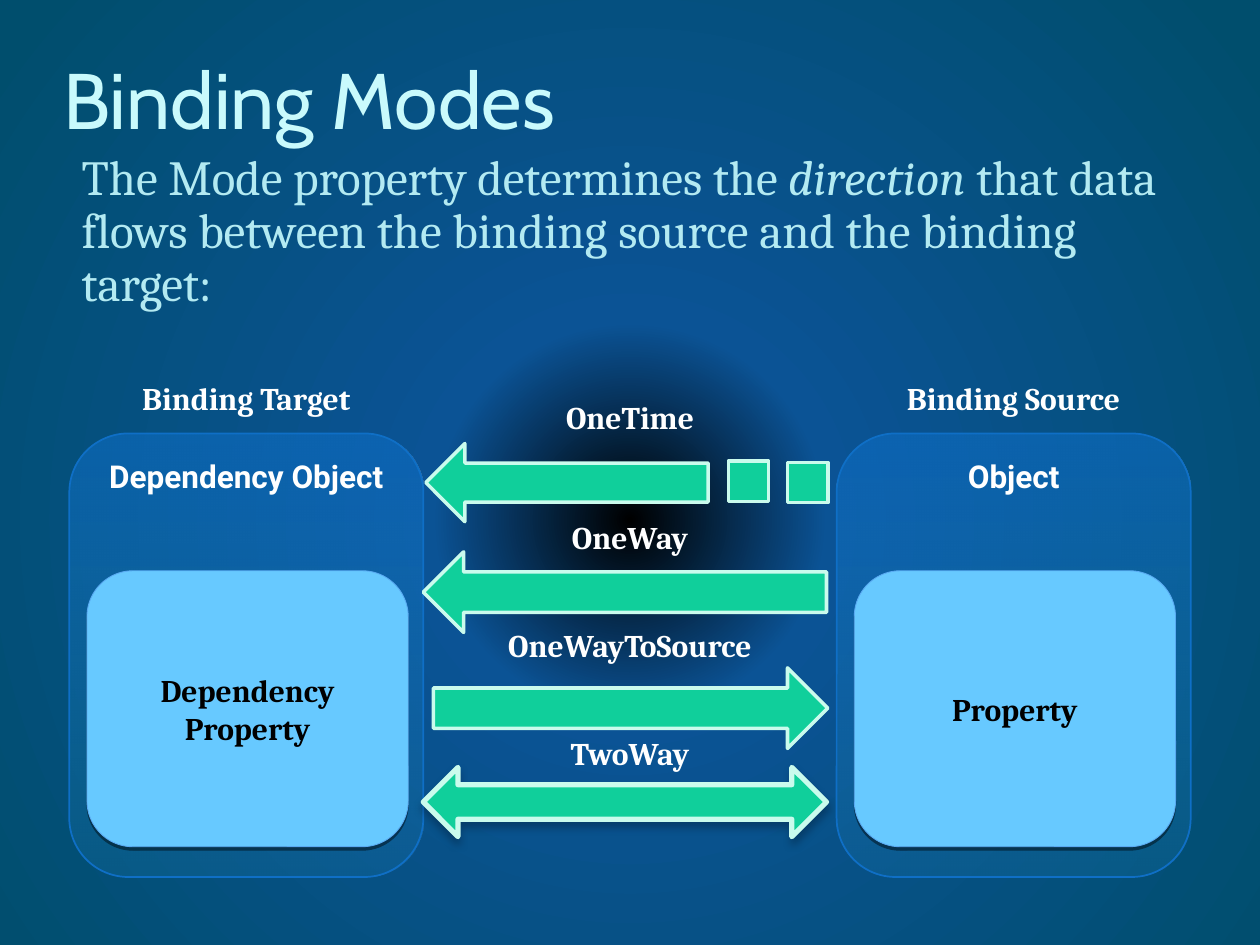
from lxml import etree
from pptx import Presentation
from pptx.dml.color import RGBColor as RGB
from pptx.enum.shapes import MSO_SHAPE as Kind
from pptx.enum.text import MSO_ANCHOR as Anchor, MSO_AUTO_SIZE as Auto, PP_ALIGN as Align
from pptx.oxml.ns import qn
from pptx.util import Inches, Pt

HUES = {
    "title": "C9FAFC", "body": "B3EAF2", "white": "FFFFFF", "black": "000000",
    "deep": "0B5395", "teal": "004E6D", "panel": "0F6FC6", "fade": "1E83BB",
    "card": "67C9FF", "edge": "59AAF2", "arrow": "10CF9B", "rim": "CAFBED",
    "glow": "042747",
}


def add_grad(node, stops):
    """Swap the solid fill of node for a gradient and return it."""
    grad = etree.Element(qn("a:gradFill"), rotWithShape="1")
    row = etree.SubElement(grad, qn("a:gsLst"))
    for pos, hue, alpha in stops:
        stop = etree.SubElement(row, qn("a:gs"), pos=str(pos * 1000))
        tint = etree.SubElement(stop, qn("a:srgbClr"), val=HUES[hue])
        if alpha < 100:
            etree.SubElement(tint, qn("a:alpha"), val=str(alpha * 1000))
    node.replace(node.find(qn("a:solidFill")), grad)
    return grad


def add_box(home, kind, box, fill, line, width, shade=None):
    """Add a filled shape; shade is hue, alpha, blur and distance."""
    shape = home.add_shape(kind, *map(Inches, box))
    shape.fill.solid()
    shape.fill.fore_color.rgb = RGB.from_string(HUES[fill])
    shape.line.color.rgb = RGB.from_string(HUES[line])
    shape.line.width = Pt(width)
    shape.shadow.inherit = False
    if shade:
        hue, alpha, blur, dist = shade
        list_ = shape.element.spPr.find(qn("a:effectLst"))
        drop = etree.SubElement(list_, qn("a:outerShdw"), blurRad=str(Pt(blur)),
                                dist=str(Pt(dist)), dir="5400000", rotWithShape="0")
        tint = etree.SubElement(drop, qn("a:srgbClr"), val=HUES[hue])
        etree.SubElement(tint, qn("a:alpha"), val=str(alpha * 1000))
    return shape


deck = Presentation()
deck.slide_width, deck.slide_height = Inches(10), Inches(7.5)
slide = deck.slides.add_slide(deck.slide_layouts[5])
shapes = slide.shapes
texts = []  # shape, runs, font, size, hue, bold, align, anchor

# Background glow
slide.background.fill.solid()
back = slide.element.find(".//" + qn("p:bgPr"))
grad = add_grad(back, [(0, "black", 100), (25, "deep", 100), (100, "teal", 100)])
ring = etree.SubElement(grad, qn("a:path"), path="circle")
etree.SubElement(ring, qn("a:fillToRect"), l="10000", t="110000", r="10000", b="100000")

# Title
title = shapes.title
title.left, title.top, title.width, title.height = map(Inches, (0.5, 0.42, 9, 0.73))
texts.append((title, ["Binding Modes"], "Cabin", 45, "title", False, Align.LEFT, Anchor.BOTTOM))

# Target and source: heading, panel and inner card
for left, head, x, name, part in [
    (0.39, "Binding Target", 0.55, "Dependency Object", "Dependency Property"),
    (6.48, "Binding Source", 6.64, "Object", "Property"),
]:
    label = shapes.add_textbox(*map(Inches, (left, 2.96, 3.13, 0.4)))
    group = shapes.add_group_shape().shapes
    panel = add_box(group, Kind.ROUNDED_RECTANGLE, (x, 3.44, 2.81, 3.52), "panel", "panel", 1)
    grad = add_grad(panel.element.spPr, [(0, "panel", 60), (100, "fade", 20)])
    etree.SubElement(grad, qn("a:lin"), ang="5400000", scaled="0")
    card = add_box(group, Kind.ROUNDED_RECTANGLE, (x + 0.14, 4.53, 2.55, 2.19),
                   "card", "edge", 0.5, ("black", 43, 0, 2))
    texts += [
        (label, [head], "Cambria", 18, "white", True, Align.CENTER, Anchor.TOP),
        (panel, [name], "Roboto", 18, "white", True, Align.CENTER, Anchor.TOP),
        (card, [part], "Cambria", 18, "black", True, Align.CENTER, Anchor.MIDDLE),
    ]

# Mode names
for top, mode in [(3.11, "OneTime"), (4.06, "OneWay"), (4.92, "OneWayToSource"), (5.78, "TwoWay")]:
    label = shapes.add_textbox(*map(Inches, (3.36, top, 3.28, 0.4)))
    texts.append((label, [mode], "Cambria", 18, "white", True, Align.CENTER, Anchor.TOP))

# Mode arrows
for kind, box, turn, width, shade in [
    (Kind.LEFT_ARROW, (3.38, 3.52, 2.24, 0.62), 0, 2, None),
    (Kind.RECTANGLE, (5.78, 3.66, 0.32, 0.32), 0, 2, None),
    (Kind.RECTANGLE, (6.25, 3.67, 0.32, 0.32), 0, 2, None),
    (Kind.LEFT_ARROW, (3.36, 4.38, 3.2, 0.64), 0, 2, None),
    (Kind.LEFT_ARROW, (3.44, 5.3, 3.13, 0.64), 180, 2, None),
    (Kind.LEFT_RIGHT_ARROW, (3.36, 6.09, 3.2, 0.55), 0, 3, ("glow", 48, 4.5, 3)),
]:
    add_box(shapes, kind, box, "arrow", "rim", width, shade).rotation = turn

# Intro, with its second run in italics
intro = shapes.add_textbox(*map(Inches, (0.55, 1.17, 9, 1.41)))
words = ["The Mode property determines the ", "direction",
         " that data flows between the binding source and the binding target:"]
texts.append((intro, words, "Cambria", 28, "body", False, Align.LEFT, Anchor.TOP))

# Fill in and format every text
for shape, runs, face, size, hue, bold, align, anchor in texts:
    frame = shape.text_frame
    for key, val in {"word_wrap": True, "auto_size": Auto.NONE, "vertical_anchor": anchor}.items():
        setattr(frame, key, val)
    para = frame.paragraphs[0]
    para.alignment = align
    for i, words in enumerate(runs):
        run = para.add_run()
        run.text = words
        look = {"name": face, "size": Pt(size), "bold": bold, "italic": i == 1}
        for key, val in look.items():
            setattr(run.font, key, val)
        run.font.color.rgb = RGB.from_string(HUES[hue])

intro.text_frame.paragraphs[0].line_spacing = 0.9
for side, gap in {"left": 0, "top": 0.05, "right": 0, "bottom": 0}.items():
    setattr(title.text_frame, "margin_" + side, Inches(gap))

deck.save("out.pptx")
